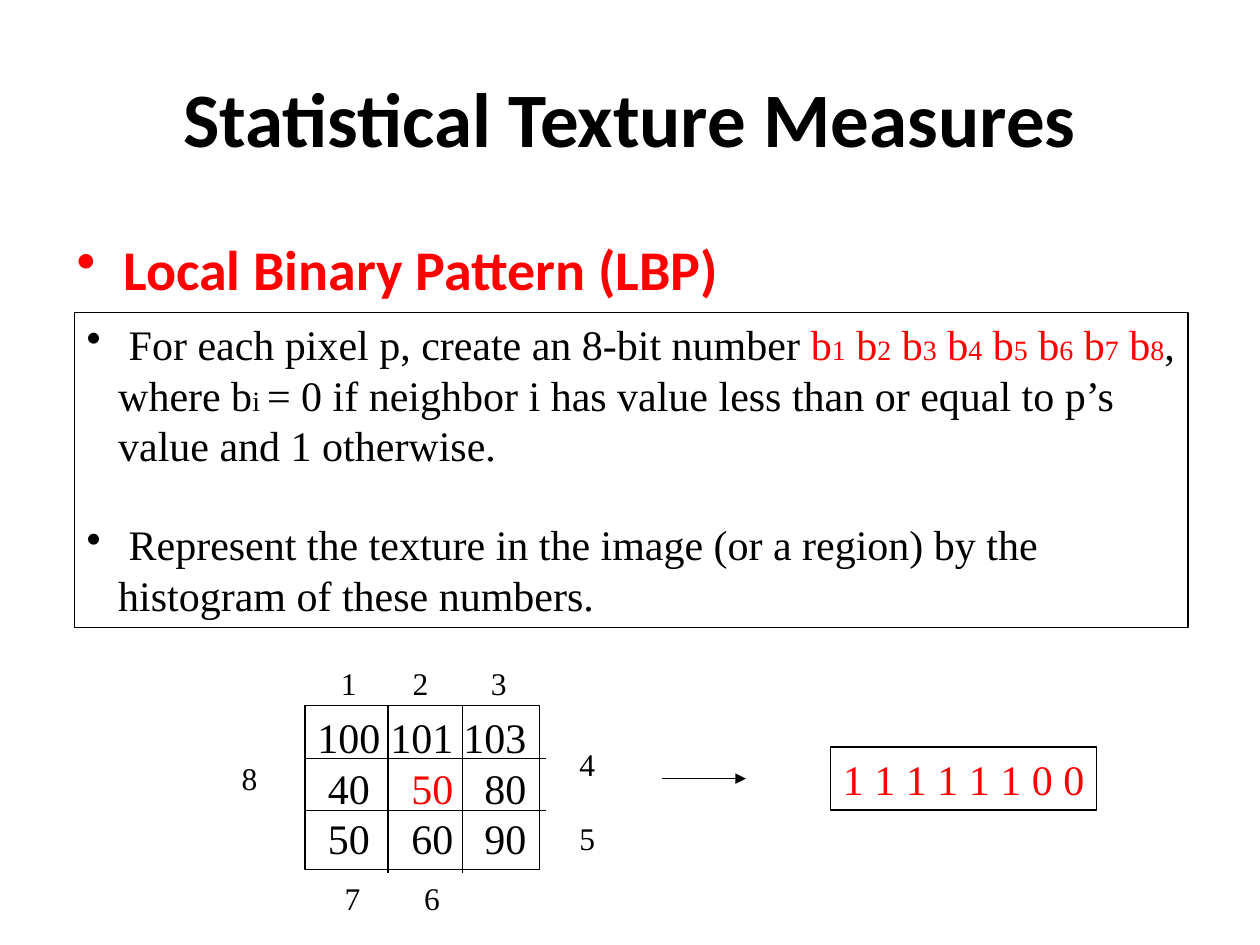
"""Builds the slide on local binary patterns as a statistical texture measure."""
from dataclasses import dataclass

import pptx
import pptx.dml.color
import pptx.enum.dml
import pptx.enum.shapes
import pptx.enum.text
import pptx.oxml
import pptx.oxml.ns
import pptx.util
from pptx.util import Inches

ALIGN = pptx.enum.text.PP_ALIGN
ANCHOR = pptx.enum.text.MSO_ANCHOR


@dataclass(frozen=True)
class Theme:
    """Colours, fonts and sizes of the slide."""
    ink: str = "000000"
    accent: str = "FF0000"
    paper: str = "FFFFFF"
    heading_font: str = "Calibri"
    body_font: str = "Times New Roman"
    title: float = 44
    heading: float = 32
    body: float = 24
    label: float = 18
    index: float = 16
    line: float = 0.75


THEME = Theme()


def rgb(value):
    """Turn a hex string into a colour."""
    return pptx.dml.color.RGBColor.from_string(value)


def add_xml(parent, tag, **attributes):
    """Append a drawing element to a parent and return it."""
    child = pptx.oxml.parse_xml(f"<a:{tag} {pptx.oxml.ns.nsdecls('a')}/>")
    for name, value in attributes.items():
        child.set(name, str(value))
    parent.append(child)
    return child


def add_bullet(para, color, margin, indent):
    """Give a paragraph a coloured bullet and a hanging indent."""
    props = para._p.get_or_add_pPr()
    props.set("marL", str(Inches(margin)))
    props.set("indent", str(Inches(indent)))
    add_xml(add_xml(props, "buClr"), "srgbClr", val=color)
    add_xml(props, "buChar", char="•")


def add_tabs(para, stops):
    """Set tab stops, given as pairs of position in inches and alignment."""
    tabs = add_xml(para._p.get_or_add_pPr(), "tabLst")
    for position, align in stops:
        add_xml(tabs, "tab", pos=Inches(position), algn=align)


def add_span(para, text, size, color=THEME.ink, font=THEME.body_font, bold=False):
    """Add one formatted run to a paragraph."""
    span = para.add_run()
    span.text = text
    span.font.size = pptx.util.Pt(size)
    span.font.name = font
    span.font.bold = bold
    span.font.color.rgb = rgb(color)


def next_para(frame, first):
    """Return the first paragraph of a frame or add another, left aligned."""
    para = frame.paragraphs[0] if first else frame.add_paragraph()
    para.alignment = ALIGN.LEFT
    return para


def add_text_box(page, box, wrap=True):
    """Place an empty text box and return its frame."""
    frame = page.shapes.add_textbox(*map(Inches, box)).text_frame
    frame.word_wrap = wrap
    return frame


def add_frame(page, box):
    """Place an outlined rectangle and return its text frame."""
    shape = page.shapes.add_shape(
        pptx.enum.shapes.MSO_SHAPE.RECTANGLE, *map(Inches, box))
    shape.shadow.inherit = False
    shape.fill.background()
    shape.line.color.rgb = rgb(THEME.ink)
    shape.line.width = pptx.util.Pt(THEME.line)
    frame = shape.text_frame
    frame.word_wrap = True
    frame.vertical_anchor = ANCHOR.TOP
    frame.margin_right = 0
    return frame


def add_line(page, start, end, arrow=False):
    """Draw a straight line, with an arrowhead at its end if asked."""
    line = page.shapes.add_connector(
        pptx.enum.shapes.MSO_CONNECTOR.STRAIGHT, *map(Inches, start + end))
    line.line.color.rgb = rgb(THEME.ink)
    line.line.width = pptx.util.Pt(THEME.line)
    if arrow:
        add_xml(line.line._get_or_add_ln(), "tailEnd", type="triangle")
    add_xml(line._element.spPr, "effectLst")


def place_title(page, box):
    """Move and format the title placeholder."""
    title = page.shapes.title
    title.left, title.top, title.width, title.height = map(Inches, box)
    title.text_frame.vertical_anchor = ANCHOR.MIDDLE
    para = title.text_frame.paragraphs[0]
    para.alignment = ALIGN.CENTER
    add_span(para, "Statistical Texture Measures", THEME.title,
             font=THEME.heading_font, bold=True)


def place_heading(page, box):
    """Place the bulleted heading of the method."""
    para = next_para(add_text_box(page, box), True)
    add_bullet(para, THEME.accent, 0.38, -0.37)
    add_span(para, "Local Binary Pattern (LBP)", THEME.heading, THEME.accent,
             THEME.heading_font, True)


def place_definition(page, box):
    """Place the framed definition of the pattern."""
    frame = add_frame(page, box)
    rule = next_para(frame, True)
    add_bullet(rule, THEME.ink, 0.25, -0.25)
    add_span(rule, " For each pixel p, create an 8-bit number ", THEME.body)
    for bit in range(1, 9):
        add_span(rule, "b" if bit == 1 else " b", THEME.body, THEME.accent)
        add_span(rule, str(bit), THEME.index, THEME.accent)
    add_span(rule, ",", THEME.body)
    rule.add_line_break()
    add_span(rule, "where b", THEME.body)
    add_span(rule, "i ", THEME.index)
    add_span(rule, "= 0 if neighbor i has value less than or equal to p’s", THEME.body)
    rule.add_line_break()
    add_span(rule, "value and 1 otherwise.", THEME.body)
    use = next_para(frame, False)
    add_bullet(use, THEME.ink, 0.25, -0.25)
    use.space_before = pptx.util.Pt(28)
    add_span(use, " Represent the texture in the image (or a region) by the", THEME.body)
    use.add_line_break()
    add_span(use, "histogram of these numbers.", THEME.body)


def place_pixels(page, box):
    """Place the 3 by 3 neighborhood with its dividing lines."""
    left, top, width, height = box
    frame = add_frame(page, box)
    for row, values in enumerate([(100, 101, 103), (40, 50, 80), (50, 60, 90)]):
        para = next_para(frame, row == 0)
        add_tabs(para, [(0.25, "ctr"), (1.08, "r"), (1.66, "r")])
        for column, value in enumerate(values):
            color = THEME.accent if row == column == 1 else THEME.ink
            add_span(para, f"\t{value}", THEME.body, color)
    for offset in (0.66, 1.25):
        add_line(page, (left + offset, top), (left + offset, top + height + 0.03))
    for offset in (0.42, 0.83):
        add_line(page, (left, top + offset), (left + width + 0.05, top + offset))


def place_label_row(page, box, labels):
    """Place a row of neighbor numbers at the given centres."""
    para = next_para(add_text_box(page, box), True)
    add_tabs(para, [(centre, "ctr") for _, centre in labels])
    for number, _ in labels:
        add_span(para, f"\t{number}", THEME.label)


def place_label_column(page, box, numbers):
    """Place neighbor numbers below each other, one line apart."""
    frame = add_text_box(page, box, wrap=False)
    frame.vertical_anchor = ANCHOR.BOTTOM
    for row, number in enumerate(numbers):
        para = next_para(frame, row == 0)
        if row:
            para.space_before = pptx.util.Pt(THEME.label * 1.15)
        add_span(para, str(number), THEME.label)


def place_code(page, box):
    """Place the framed binary code of the center pixel."""
    frame = add_frame(page, box)
    frame.word_wrap = False
    add_span(next_para(frame, True), "1 1 1 1 1 1 0 0", THEME.body, THEME.accent)


def main():
    """Build and save the deck."""
    deck = pptx.Presentation()
    deck.slide_width, deck.slide_height = Inches(10), Inches(7.5)
    page = deck.slides.add_slide(deck.slide_layouts[5])
    page.background.fill.solid()
    page.background.fill.fore_color.rgb = rgb(THEME.paper)
    place_title(page, (0.5, 0.3, 9, 1.25))
    place_heading(page, (0.5, 1.81, 9, 0.63))
    place_definition(page, (0.59, 2.48, 8.84, 2.5))
    place_pixels(page, (2.42, 5.6, 1.86, 1.3))
    place_code(page, (6.59, 5.93, 2.11, 0.5))
    add_line(page, (5.25, 6.18), (5.92, 6.18), arrow=True)
    place_label_row(page, (2.48, 5.22, 1.66, 0.4), [(1, 0.19), (2, 0.76), (3, 1.38)])
    place_label_row(page, (2.58, 6.93, 1.02, 0.4), [(7, 0.12), (6, 0.75)])
    place_label_column(page, (4.5, 5.6, 0.32, 1.25), (4, 5))
    place_label_column(page, (1.82, 5.97, 0.32, 0.4), (8,))
    deck.save("out.pptx")


if __name__ == "__main__":
    main()
